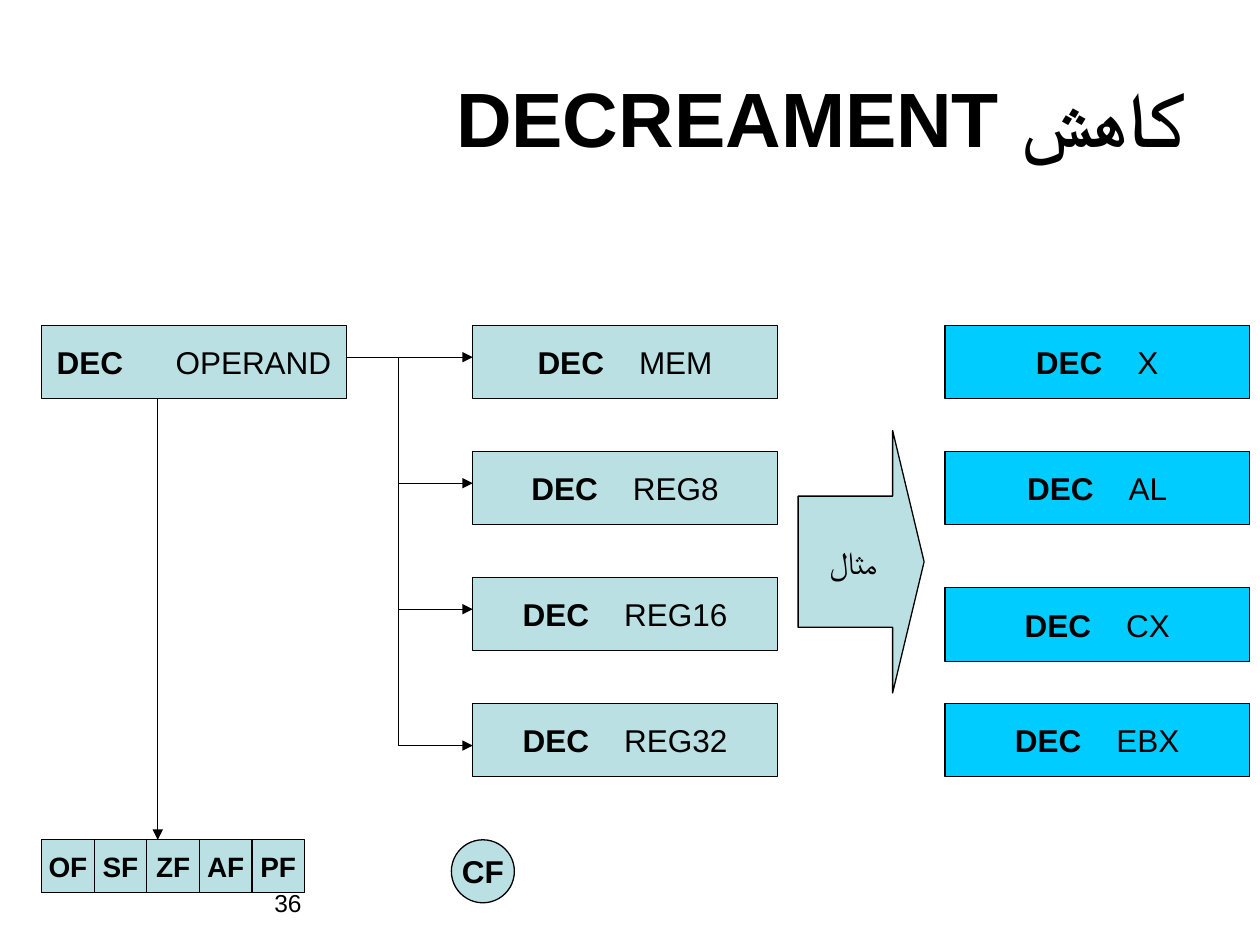
from lxml.etree import SubElement
from pptx import Presentation
from pptx.dml.color import RGBColor
from pptx.enum.shapes import MSO_CONNECTOR, MSO_SHAPE
from pptx.enum.text import MSO_ANCHOR, MSO_AUTO_SIZE, PP_ALIGN
from pptx.oxml.ns import qn
from pptx.util import Cm, Pt

BLACK, PALE, CYAN = "000000", "BBE0E3", "00CCFF"
BOX_WIDTH, BOX_HEIGHT = 6.14, 1.48
FIRST_ROW, ROW_STEP = 6.56, 2.54
SYNTAX_LEFT, FORMS_LEFT, EXAMPLES_LEFT = 0.84, 9.53, 19.05
TRUNK_X, BRANCH_Y = 8.04, 7.2
FLAG_SIZE, FLAGS_TOP = 1.06, 16.93
FLAG_ARROW_X = 3.18


def color(value):
    return RGBColor.from_string(value)


def add_run(paragraph, text, size, bold=False):
    run = paragraph.add_run()
    run.text = text
    for name, value in {"name": "Arial", "size": Pt(size), "bold": bold}.items():
        setattr(run.font, name, value)
    run.font.color.rgb = color(BLACK)
    SubElement(run.font._element, qn("a:cs"), typeface="Arial")
    return run


def add_block(slide, kind, left, top, width, height, fill=PALE):
    """Add an outlined shape and return it with its centred paragraph."""
    shape = slide.shapes.add_shape(kind, Cm(left), Cm(top), Cm(width), Cm(height))
    shape.shadow.inherit = False
    shape.fill.solid()
    shape.fill.fore_color.rgb = color(fill)
    shape.line.color.rgb = color(BLACK)
    shape.line.width = Pt(0.75)
    frame = shape.text_frame
    frame.word_wrap = False
    frame.vertical_anchor = MSO_ANCHOR.MIDDLE
    paragraph = frame.paragraphs[0]
    paragraph.alignment = PP_ALIGN.CENTER
    return shape, paragraph


def add_instruction(slide, left, top, operand, fill=PALE, gap=15):
    """Add a DEC box; gap is the extra width in points before the operand."""
    _, paragraph = add_block(slide, MSO_SHAPE.RECTANGLE, left, top,
                             BOX_WIDTH, BOX_HEIGHT, fill)
    add_run(paragraph, "DEC", 18, bold=True)
    space = add_run(paragraph, " ", 18)
    space.font._element.set("spc", str(gap * 100))
    add_run(paragraph, operand, 18)


def add_line(slide, start, end, arrow=True):
    points = [Cm(value) for value in (*start, *end)]
    connector = slide.shapes.add_connector(MSO_CONNECTOR.STRAIGHT, *points)
    connector.line.color.rgb = color(BLACK)
    connector.line.width = Pt(0.75)
    if arrow:
        SubElement(connector.line._get_or_add_ln(), qn("a:tailEnd"), type="triangle")
    SubElement(connector._element.spPr, qn("a:effectLst"))


def add_title(slide, text):
    title = slide.shapes.title
    place = {"left": 1.27, "top": 0.76, "width": 22.86, "height": 3.18}
    for name, value in place.items():
        setattr(title, name, Cm(value))
    frame = title.text_frame
    frame.auto_size = MSO_AUTO_SIZE.NONE
    frame.vertical_anchor = MSO_ANCHOR.MIDDLE
    paragraph = frame.paragraphs[0]
    paragraph.alignment = PP_ALIGN.RIGHT
    paragraph._p.get_or_add_pPr().set("rtl", "1")
    add_run(paragraph, text, 44, bold=True)


def add_page_number(slide, number):
    box = slide.shapes.add_textbox(Cm(5.28), Cm(17.78), Cm(3.81), Cm(1.27))
    box.text_frame.word_wrap = True
    add_run(box.text_frame.paragraphs[0], number, 14)


def add_branches(slide):
    """Link the syntax box to each operand form."""
    last_y = 15.03
    add_line(slide, (SYNTAX_LEFT + BOX_WIDTH, BRANCH_Y), (TRUNK_X, BRANCH_Y), arrow=False)
    add_line(slide, (TRUNK_X, BRANCH_Y), (TRUNK_X, last_y), arrow=False)
    for y in [BRANCH_Y + row * ROW_STEP for row in range(3)] + [last_y]:
        add_line(slide, (TRUNK_X, y), (FORMS_LEFT, y))


def add_flags(slide):
    add_line(slide, (FLAG_ARROW_X, FIRST_ROW + BOX_HEIGHT), (FLAG_ARROW_X, FLAGS_TOP))
    for column, flag in enumerate(("OF", "SF", "ZF", "AF", "PF")):
        _, paragraph = add_block(slide, MSO_SHAPE.RECTANGLE,
                                 SYNTAX_LEFT + column * FLAG_SIZE, FLAGS_TOP,
                                 FLAG_SIZE, FLAG_SIZE)
        add_run(paragraph, flag, 16, bold=True)
    _, paragraph = add_block(slide, MSO_SHAPE.OVAL, 9.1, FLAGS_TOP, 1.27, 1.27)
    add_run(paragraph, "CF", 18, bold=True)


def add_example_arrow(slide):
    arrow, paragraph = add_block(slide, MSO_SHAPE.RIGHT_ARROW, 16.09, 8.68, 2.54, 5.29)
    arrow.adjustments[0] = 0.5
    arrow.adjustments[1] = 0.25
    add_run(paragraph, "مثال", 18)


def main():
    presentation = Presentation()
    presentation.slide_width, presentation.slide_height = Cm(25.4), Cm(19.05)
    slide = presentation.slides.add_slide(presentation.slide_layouts[5])

    add_page_number(slide, "36")
    add_title(slide, "کاهش DECREAMENT")
    add_instruction(slide, SYNTAX_LEFT, FIRST_ROW, "OPERAND", gap=25)
    for row, operand in enumerate(("MEM", "REG8", "REG16", "REG32")):
        add_instruction(slide, FORMS_LEFT, FIRST_ROW + row * ROW_STEP, operand)
    add_branches(slide)
    add_example_arrow(slide)
    example_tops = {"X": 6.56, "AL": 9.1, "CX": 11.85, "EBX": 14.18}
    for operand, top in example_tops.items():
        add_instruction(slide, EXAMPLES_LEFT, top, operand, CYAN)
    add_flags(slide)

    presentation.save("out.pptx")


if __name__ == "__main__":
    main()
